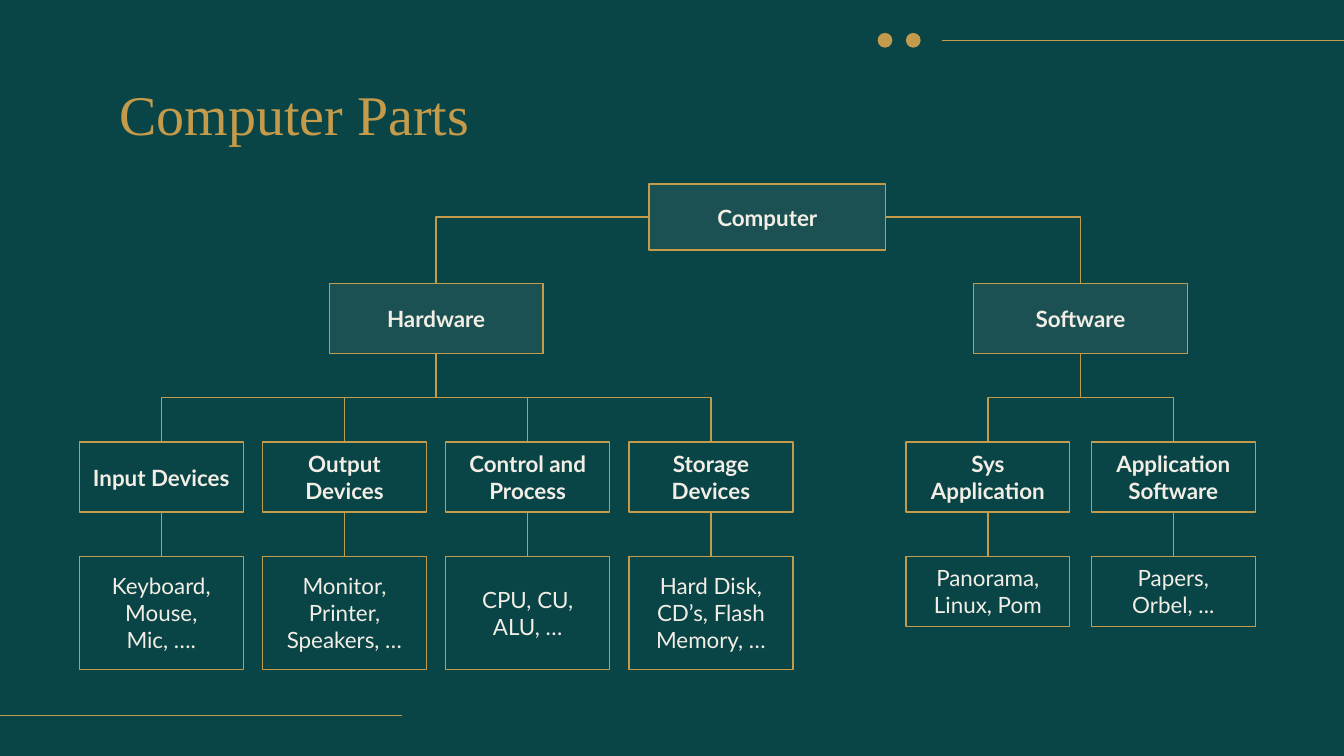
from lxml import etree
from pptx import Presentation
from pptx.dml.color import RGBColor
from pptx.enum.shapes import MSO_CONNECTOR, MSO_SHAPE
from pptx.enum.text import MSO_ANCHOR, PP_ALIGN
from pptx.oxml.ns import qn
from pptx.util import Inches, Pt

STRAIGHT, ELBOW = MSO_CONNECTOR.STRAIGHT, MSO_CONNECTOR.ELBOW
RECTANGLE, OVAL = MSO_SHAPE.RECTANGLE, MSO_SHAPE.OVAL
MIDDLE, CENTER = MSO_ANCHOR.MIDDLE, PP_ALIGN.CENTER
TOP, LEFT, BOTTOM, RIGHT = range(4)

WIDTH = 10
HEIGHT = WIDTH * 9 / 16
GREEN, GOLD, CREAM = "094446", "C49B4B", "F2EEE5"
PART_WIDTH, HEAD_WIDTH, ROW = 1.22, 1.59, 0.52
PART_DROP, DETAIL_DROP = 1.18, 2.03

HARDWARE = [
    ("Input Devices", "Keyboard, Mouse,\nMic, …."),
    ("Output Devices", "Monitor,\nPrinter,\nSpeakers, …"),
    ("Control and Process", "CPU, CU, ALU, …"),
    ("Storage Devices", "Hard Disk,\nCD’s, Flash Memory, …"),
]
SOFTWARE = [
    ("Sys Application", "Panorama, Linux, Pom"),
    ("Application Software", "Papers, Orbel, ..."),
]


def color(value):
    """Turn a hex string into a colour."""
    return RGBColor.from_string(value)


def write(frame, text, font, size, ink, bold=False, align=None):
    """Fill a text frame, one paragraph for each line."""
    frame.word_wrap = True
    frame.margin_left = frame.margin_right = Inches(0.1)
    frame.margin_top = frame.margin_bottom = Inches(0.1)
    frame.text = text
    for paragraph in frame.paragraphs:
        paragraph.alignment = align
        paragraph.font.name = font
        paragraph.font.size = Pt(size)
        paragraph.font.bold = bold
        paragraph.font.color.rgb = color(ink)


def add_node(slide, box, text, bold=True, tinted=False):
    """Add an outlined rectangle with centred text."""
    node = slide.shapes.add_shape(RECTANGLE, *map(Inches, box))
    node.shadow.inherit = False
    node.line.color.rgb = color(GOLD)
    node.line.width = Pt(0.75)
    if tinted:
        node.fill.solid()
        node.fill.fore_color.rgb = color(CREAM)
        tint = node._element.spPr.find(qn("a:solidFill"))[0]
        etree.SubElement(tint, qn("a:alpha")).set("val", "8000")
    else:
        node.fill.background()
    node.text_frame.vertical_anchor = MIDDLE
    write(node.text_frame, text, "Lato", 12, CREAM, bold, CENTER)
    return node


def add_line(slide, start=(0, 0), end=(0, 0), kind=STRAIGHT):
    """Add a thin gold connector."""
    line = slide.shapes.add_connector(kind, *map(Inches, (*start, *end)))
    line.line.color.rgb = color(GOLD)
    line.line.width = Pt(0.75)
    etree.SubElement(line._element.spPr, qn("a:effectLst"))
    return line


def join(slide, source, source_side, target, target_side, kind=STRAIGHT):
    """Connect a side of one node to a side of another."""
    line = add_line(slide, kind=kind)
    line.begin_connect(source, source_side)
    line.end_connect(target, target_side)
    return line


def join_corner(slide, source, side, target):
    """Connect sideways out of one node and down into another."""
    line = join(slide, source, side, target, TOP, ELBOW)
    line._element.spPr.find(qn("a:prstGeom")).set("prst", "bentConnector2")


def join_step(slide, source, target):
    """Connect down, across and down again between two nodes."""
    line = join(slide, source, BOTTOM, target, TOP, ELBOW)
    center_x = line.left + line.width // 2
    center_y = line.top + line.height // 2
    leftward = line.end_x < line.begin_x
    line.width, line.height = line.height, line.width
    line.left = center_x - line.width // 2
    line.top = center_y - line.height // 2
    frame = line._element.spPr.xfrm
    frame.rot = 90 if leftward else 270
    frame.flipH = not leftward
    frame.flipV = False


def add_branch(slide, box, heading, parts):
    """Add a heading with its parts in columns and their details below."""
    left, top, width, height = box
    head_box = (left + (width - HEAD_WIDTH) / 2, top, HEAD_WIDTH, ROW)
    head = add_node(slide, head_box, heading, tinted=True)
    pitch = (width - PART_WIDTH) / (len(parts) - 1)
    rail = top + (ROW + PART_DROP) / 2
    for column, (name, examples) in enumerate(parts):
        x = left + column * pitch
        part = add_node(slide, (x, top + PART_DROP, PART_WIDTH, ROW), name)
        detail_box = (x, top + DETAIL_DROP, PART_WIDTH, height - DETAIL_DROP)
        detail = add_node(slide, detail_box, examples, bold=False)
        join(slide, part, BOTTOM, detail, TOP)
        if column in (0, len(parts) - 1):
            join_step(slide, head, part)
        else:
            drop = add_line(slide, (x + PART_WIDTH / 2, rail))
            drop.end_connect(part, TOP)
    return head


def add_tree(slide, box):
    """Add the computer node above its two branches."""
    left, top, width, height = box
    computer = add_node(slide, (left + 4.24, top, 1.76, 0.49), "Computer", tinted=True)
    branch_top = top + 0.74
    hardware = add_branch(
        slide, (left, branch_top, 5.31, height - 0.74), "Hardware", HARDWARE)
    software = add_branch(
        slide, (left + width - 2.6, branch_top, 2.6, DETAIL_DROP + ROW),
        "Software", SOFTWARE)
    join_corner(slide, computer, LEFT, hardware)
    join_corner(slide, computer, RIGHT, software)


def add_ornaments(slide, box):
    """Add the two edge lines and the pair of dots."""
    left, top, width, height = box
    length, dot, inset = 2.99, 0.11, 0.3
    upper, lower = top + inset, top + height - inset
    add_line(slide, (left + width - length, upper), (left + width, upper))
    add_line(slide, (left, lower), (left + length, lower))
    for x in (6.53, 6.74):
        circle = slide.shapes.add_shape(
            OVAL, *map(Inches, (left + x, upper - dot / 2, dot, dot)))
        circle.shadow.inherit = False
        circle.fill.solid()
        circle.fill.fore_color.rgb = color(GOLD)
        circle.line.fill.background()


def add_title(slide, box):
    """Add the slide title."""
    title = slide.shapes.add_textbox(*map(Inches, box))
    write(title.text_frame, "Computer Parts", "Times New Roman", 30, GOLD)


def main():
    """Build and save the slide."""
    deck = Presentation()
    deck.slide_width, deck.slide_height = Inches(WIDTH), Inches(HEIGHT)
    slide = deck.slides.add_slide(deck.slide_layouts[6])
    slide.background.fill.solid()
    slide.background.fill.fore_color.rgb = color(GREEN)
    add_ornaments(slide, (0, 0, WIDTH, HEIGHT))
    add_title(slide, (0.79, 0.49, 8.43, 0.63))
    add_tree(slide, (0.59, 1.37, 8.75, 3.61))
    deck.save("out.pptx")


if __name__ == "__main__":
    main()
